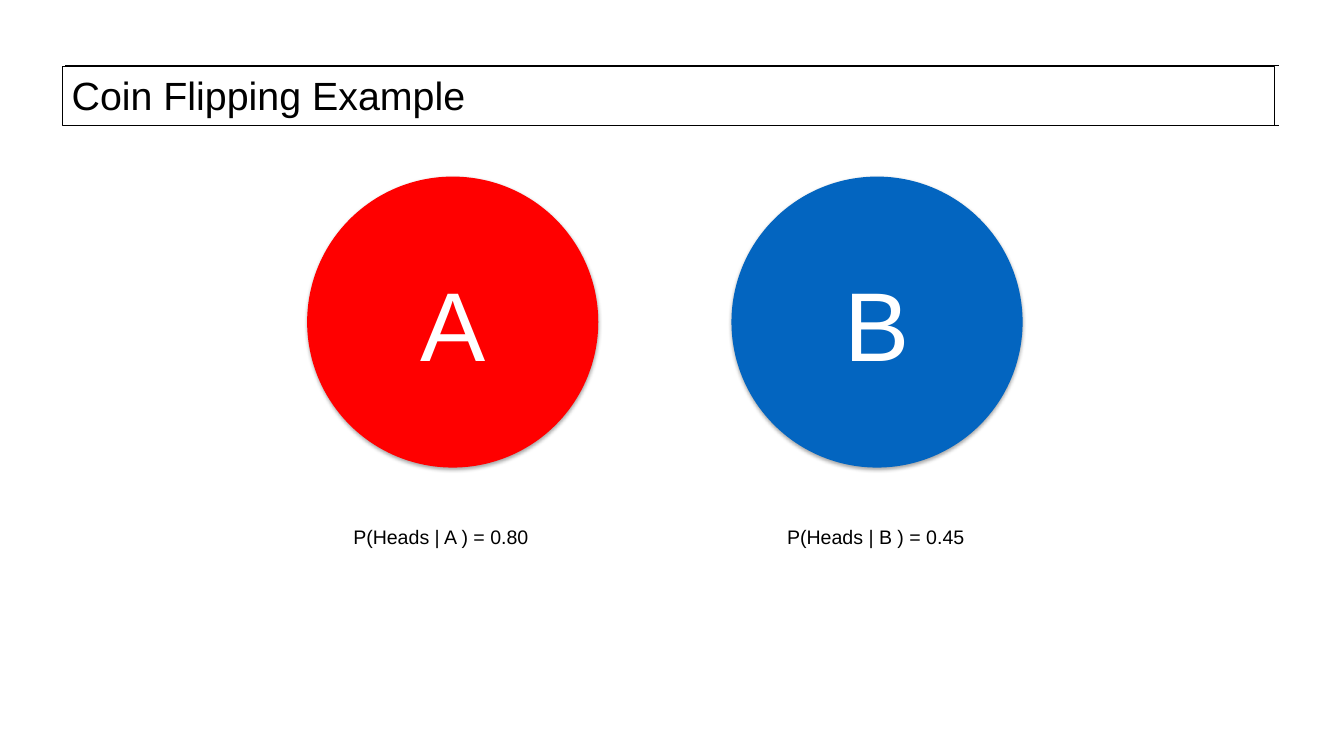
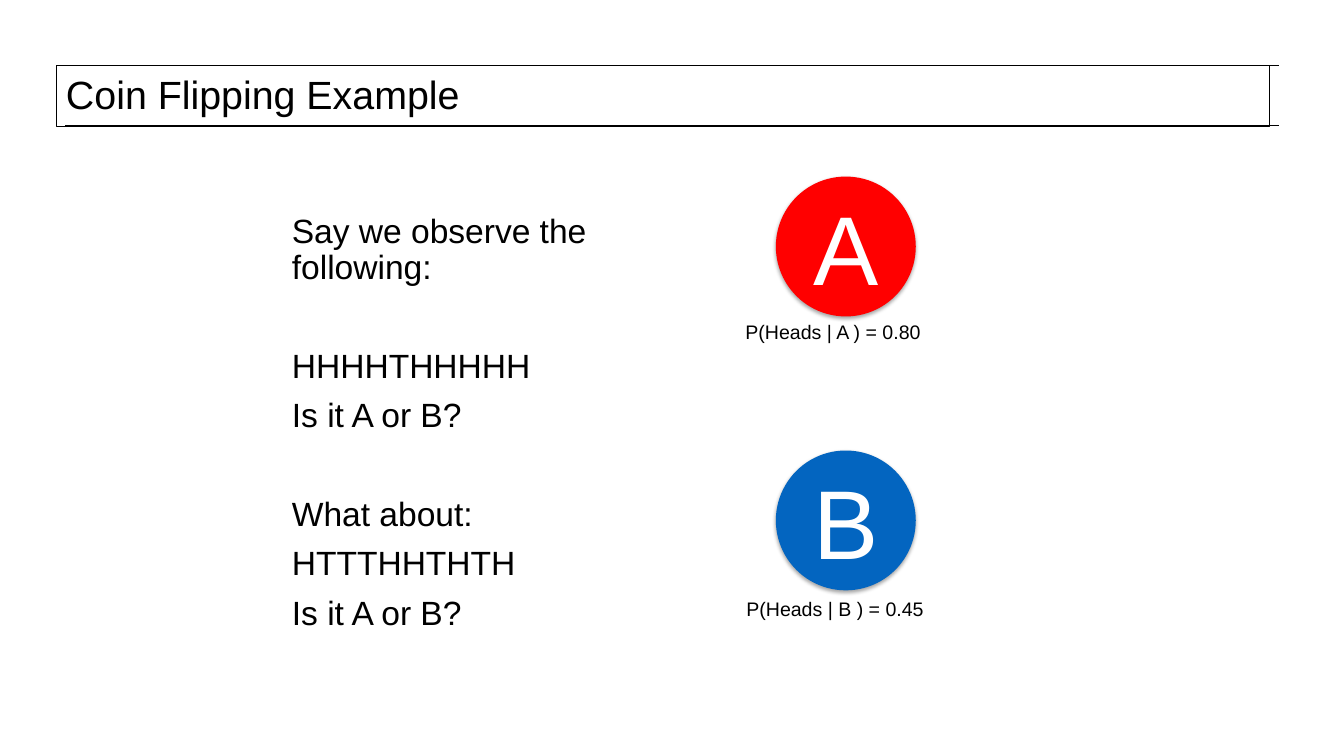
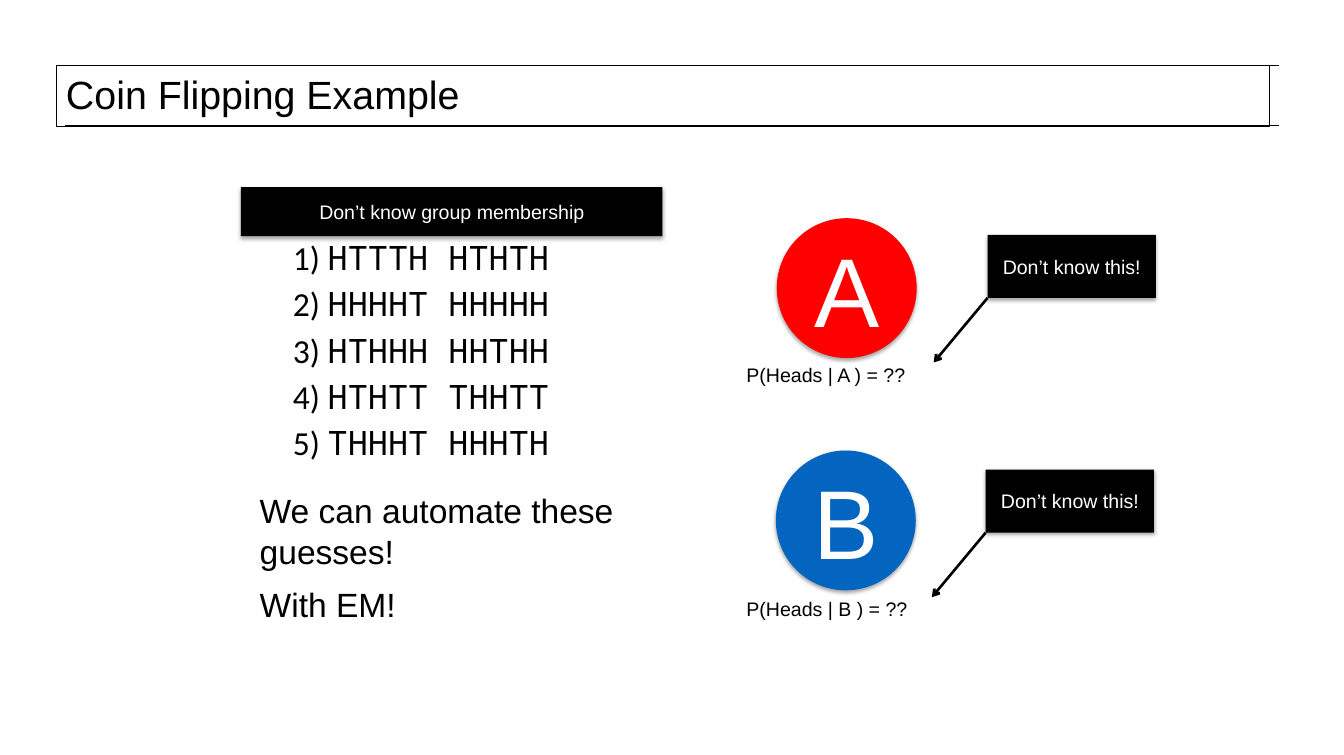
"""Builds three slides on the coin flipping example."""
from dataclasses import dataclass
from typing import Sequence

from lxml.etree import SubElement
from pptx import Presentation
from pptx.dml.color import RGBColor
from pptx.enum.shapes import MSO_CONNECTOR as Wire, MSO_SHAPE as Form
from pptx.enum.text import MSO_ANCHOR as Anchor, MSO_AUTO_SIZE as Fit, PP_ALIGN as Align
from pptx.oxml.ns import qn
from pptx.shapes.autoshape import Shape
from pptx.shapes.connector import Connector
from pptx.slide import Slide
from pptx.util import Pt

BLACK = RGBColor(0x00, 0x00, 0x00)
WHITE = RGBColor(0xFF, 0xFF, 0xFF)
RED = RGBColor(0xFF, 0x00, 0x00)
BLUE = RGBColor(0x03, 0x65, 0xC0)
SANS, LIST, MONO = "Arial", "Calibri", "Noto Sans Mono"
HEAD, BODY, NOTE, FACE = 30, 25.6, 14.9, 74.5
PAD = 7.2
BIG, SMALL = 221.8, 106.6


@dataclass(frozen=True)
class Box:
    left: float
    top: float
    wide: float
    high: float

    def spread(self) -> tuple[Pt, Pt, Pt, Pt]:
        return Pt(self.left), Pt(self.top), Pt(self.wide), Pt(self.high)


@dataclass(frozen=True)
class Coin:
    face: str
    fill: RGBColor
    left: float
    top: float
    size: float
    odds: str
    label: Box


@dataclass(frozen=True)
class Line:
    text: str
    gap: float = 10


def style(par, size: float, tint: RGBColor, face: str | None = SANS) -> None:
    par.font.size = Pt(size)
    par.font.color.rgb = tint
    if face:
        par.font.name = face


def add_line(slide: Slide, start: tuple[float, float], end: tuple[float, float],
             width: float) -> Connector:
    line = slide.shapes.add_connector(
        Wire.STRAIGHT, Pt(start[0]), Pt(start[1]), Pt(end[0]), Pt(end[1]))
    line.line.color.rgb = BLACK
    line.line.width = Pt(width)
    SubElement(line._element.spPr, qn("a:effectLst"))
    return line


def add_arrow(slide: Slide, start: tuple[float, float], end: tuple[float, float]) -> None:
    line = add_line(slide, start, end, 2)
    SubElement(line.line._get_or_add_ln(), qn("a:tailEnd"), type="arrow")


def add_solid(slide: Slide, form: Form, box: Box, fill: RGBColor, text: str,
              size: float) -> None:
    shape = slide.shapes.add_shape(form, *box.spread())
    shape.fill.solid()
    shape.fill.fore_color.rgb = fill
    shape.line.fill.background()
    shape.shadow.inherit = False
    glow = SubElement(
        shape._element.spPr.find(qn("a:effectLst")), qn("a:outerShdw"),
        blurRad=str(Pt(3.1)), dist=str(Pt(1.8)), dir="5400000", rotWithShape="0")
    tint = SubElement(glow, qn("a:srgbClr"), val=str(BLACK))
    SubElement(tint, qn("a:alpha"), val="35000")
    frame = shape.text_frame
    frame.vertical_anchor = Anchor.MIDDLE
    par = frame.paragraphs[0]
    par.text = text
    par.alignment = Align.CENTER
    style(par, size, WHITE)


def add_text(slide: Slide, box: Box, lines: Sequence[Line], size: float,
             pitch: float = 1.0, pad: float = PAD) -> Shape:
    shape = slide.shapes.add_textbox(*box.spread())
    frame = shape.text_frame
    frame.word_wrap = True
    frame.margin_top = frame.margin_bottom = Pt(pad)
    for rank, line in enumerate(lines):
        par = frame.add_paragraph() if rank else frame.paragraphs[0]
        par.text = line.text
        par.line_spacing = pitch
        par.space_before = Pt(line.gap)
        style(par, size, BLACK)
    return shape


def add_label(slide: Slide, box: Box, text: str) -> None:
    frame = add_text(slide, box, [Line(text, 0)], NOTE, pad=PAD / 2).text_frame
    frame.word_wrap = False
    frame.auto_size = Fit.SHAPE_TO_FIT_TEXT


def add_coin(slide: Slide, coin: Coin) -> None:
    box = Box(coin.left, coin.top, coin.size, coin.size)
    add_solid(slide, Form.OVAL, box, coin.fill, coin.face, FACE)
    add_label(slide, coin.label, f"P(Heads | {coin.face} ) = {coin.odds}")


def add_flips(slide: Slide, box: Box, flips: Sequence[str]) -> None:
    shape = slide.shapes.add_textbox(*box.spread())
    frame = shape.text_frame
    frame.word_wrap = True
    frame.margin_left = frame.margin_right = Pt(7.9)
    for rank, flip in enumerate(flips):
        par = frame.add_paragraph() if rank else frame.paragraphs[0]
        par.space_before = Pt(4.6)
        style(par, BODY, BLACK, None)
        for text, face in ((f"{rank + 1}) ", LIST), (flip, MONO)):
            run = par.add_run()
            run.text = text
            run.font.name = face


def add_note(slide: Slide, left: float, top: float) -> None:
    box = Box(left, top, 128.2, 48)
    add_solid(slide, Form.RECTANGLE, box, BLACK, "Don’t know this!", NOTE)
    foot = top + box.high
    add_arrow(slide, (left, foot), (left - 41, foot + 49.2))


def add_slide(deck, title: Box, coins: Sequence[Coin]) -> Slide:
    slide = deck.slides.add_slide(deck.slide_layouts[6])
    for top in (49.7, 95.8):
        add_line(slide, (49.7, top), (974.2, top), 0.75)
    head = add_text(slide, title, [Line("Coin Flipping Example", 0)], HEAD, 0.93)
    head.line.color.rgb = BLACK
    head.line.width = Pt(0.75)
    for coin in coins:
        add_coin(slide, coin)
    return slide


def main() -> None:
    deck = Presentation()
    deck.slide_width, deck.slide_height = Pt(1024), Pt(575.5)
    title = Box(43.2, 49.7, 923.8, 46.8)

    add_slide(deck, Box(47.5, 50.4, 923.8, 45.4), [
        Coin("B", BLUE, 557.3, 134.6, BIG, "0.45", Box(592.6, 396.7, 151.2, 25.2)),
        Coin("A", RED, 234, 134.6, BIG, "0.80", Box(262.1, 396.7, 151.2, 25.2)),
    ])

    slide = add_slide(deck, title, [
        Coin("B", BLUE, 591.1, 343.4, SMALL, "0.45", Box(561.6, 451.4, 151.2, 25.2)),
        Coin("A", RED, 591.1, 134.6, SMALL, "0.80", Box(560.9, 240.5, 151.2, 25.2)),
    ])
    add_text(slide, Box(215.3, 156.2, 289.4, 347.8), [
        Line("Say we observe the following:"),
        Line("HHHHTHHHHH", 47.5),
        Line("Is it A or B?"),
        Line("What about:", 47.5),
        Line("HTTTHHTHTH"),
        Line("Is it A or B?"),
    ], BODY, 0.9)

    slide = add_slide(deck, title, [
        Coin("B", BLUE, 591.1, 343.4, SMALL, "??", Box(561.6, 451.4, 138.2, 25.2)),
        Coin("A", RED, 591.8, 166.3, SMALL, "??", Box(561.6, 272.9, 138.2, 25.2)),
    ])
    add_text(slide, Box(190.8, 366.5, 346.3, 169.2),
             [Line("We can automate these guesses!"), Line("With EM!")], BODY)
    add_flips(slide, Box(215.3, 177.1, 289.4, 189.4), [
        "HTTTH HTHTH", "HHHHT HHHHH", "HTHHH HHTHH", "HTHTT THHTT", "THHHT HHHTH"])
    for left, top in ((752.4, 179.1), (751, 358)):
        add_note(slide, left, top)
    add_solid(slide, Form.RECTANGLE, Box(183.6, 142.6, 321.1, 37.4), BLACK,
              "Don’t know group membership", NOTE)

    deck.save("out.pptx")


if __name__ == "__main__":
    main()
